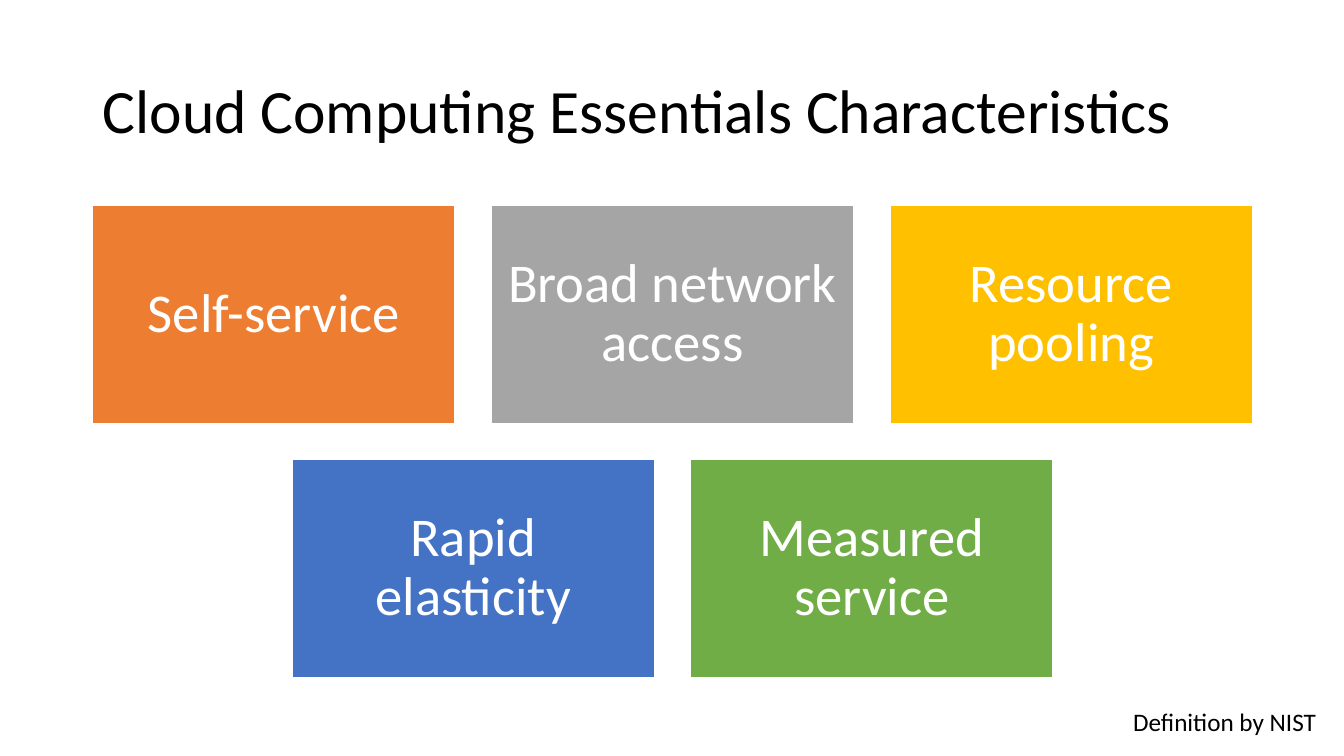
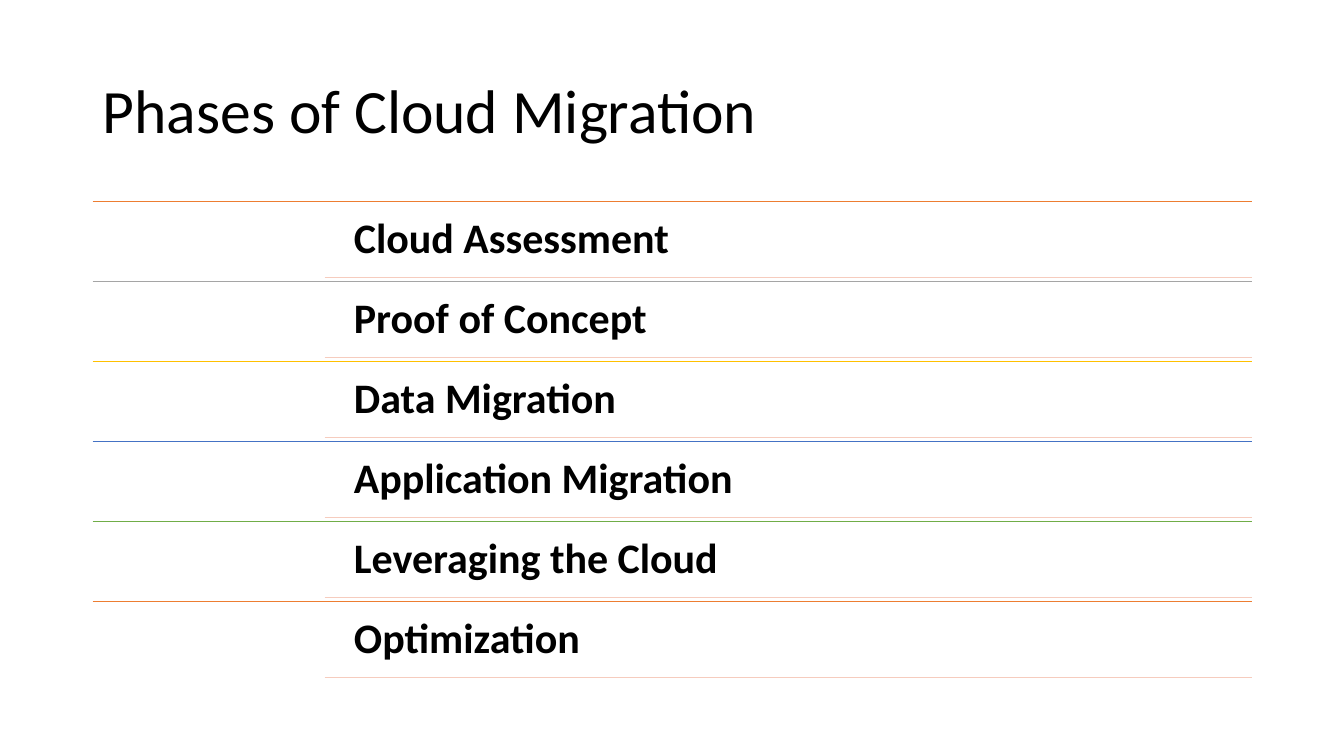
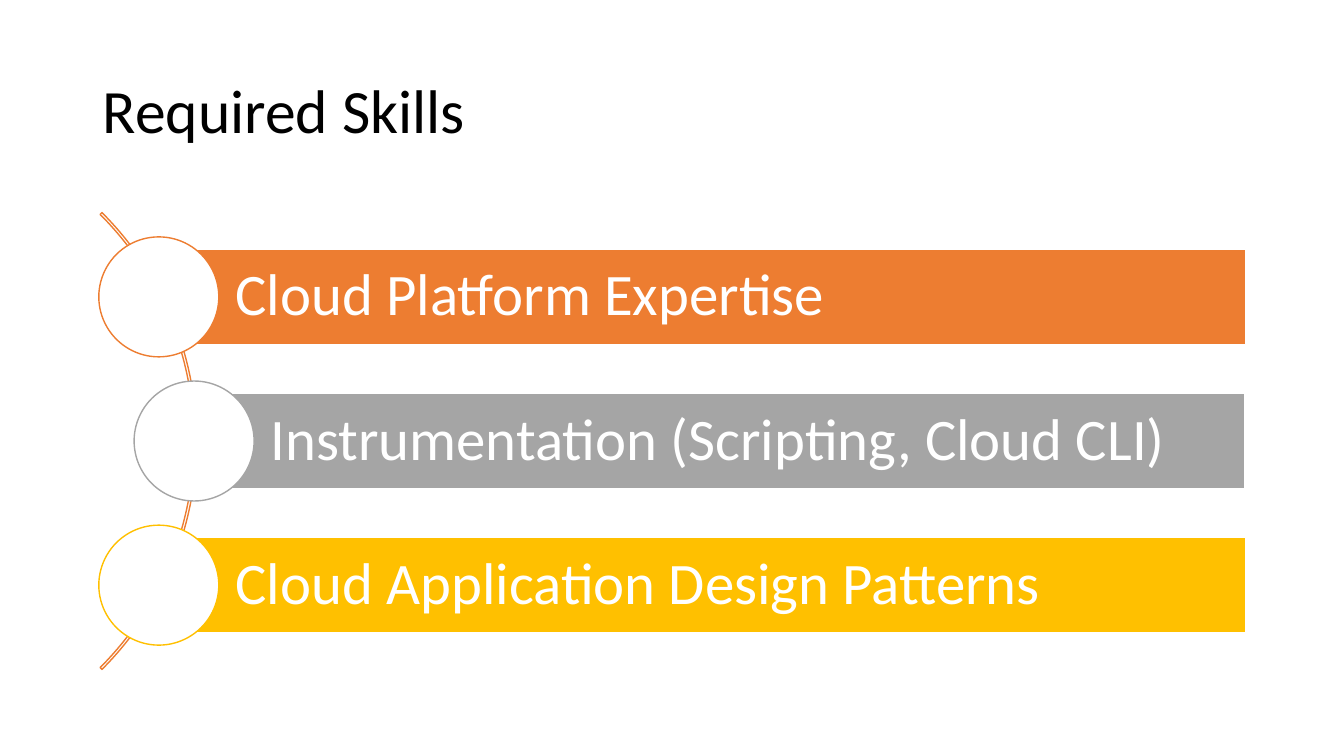
from lxml import etree
from pptx import Presentation
from pptx.dml.color import RGBColor
from pptx.enum.shapes import MSO_CONNECTOR, MSO_SHAPE
from pptx.enum.text import MSO_ANCHOR, PP_ALIGN
from pptx.oxml import parse_xml
from pptx.oxml.ns import nsdecls, qn
from pptx.util import Inches, Pt

FONT = "Calibri"
BLACK, WHITE = "000000", "FFFFFF"
ORANGE, GREY, GOLD = "ED7D31", "A5A5A5", "FFC000"
BLUE, GREEN, PEACH = "4472C4", "70AD47", "F6CCBE"
LEFT, WIDTH = 0.92, 11.5

LINE_SHADOW = (
    f'<a:effectLst {nsdecls("a")}>'
    '<a:outerShdw blurRad="57150" dist="19050" dir="5400000" algn="ctr" rotWithShape="0">'
    '<a:srgbClr val="000000"><a:alpha val="63000"/></a:srgbClr>'
    '</a:outerShdw></a:effectLst>'
)


def rgb(color):
    return RGBColor.from_string(color)


def write(sp, text, size, color, insets=(0.1, 0.05, 0.1, 0.05), align=PP_ALIGN.LEFT,
          anchor=MSO_ANCHOR.MIDDLE, bold=False, spacing=0.9, wrap=True):
    tf = sp.text_frame
    tf.text = text
    tf.word_wrap = wrap
    tf.vertical_anchor = anchor
    tf.margin_left, tf.margin_top, tf.margin_right, tf.margin_bottom = map(Inches, insets)
    p = tf.paragraphs[0]
    p.alignment = align
    p.line_spacing = spacing
    font = p.runs[0].font
    font.name, font.size, font.bold = FONT, Pt(size), bold
    font.color.rgb = rgb(color)


def add_text(slide, box, text, size, color, **style):
    sp = slide.shapes.add_textbox(*map(Inches, box))
    write(sp, text, size, color, **style)


def add_preset(slide, kind, box, fill, line):
    sp = slide.shapes.add_shape(kind, *map(Inches, box))
    sp.shadow.inherit = False
    if fill:
        sp.fill.solid()
        sp.fill.fore_color.rgb = rgb(fill)
    else:
        sp.fill.background()
    sp.line.color.rgb = rgb(line)
    sp.line.width = Pt(1)
    return sp


def add_rule(slide, left, right, y, color, shadow=False):
    rule = slide.shapes.add_connector(
        MSO_CONNECTOR.STRAIGHT, Inches(left), Inches(y), Inches(right), Inches(y))
    rule.line.color.rgb = rgb(color)
    rule.line.width = Pt(0.5)
    sp_pr = rule._element.spPr
    if shadow:
        sp_pr.append(parse_xml(LINE_SHADOW))
    else:
        etree.SubElement(sp_pr, qn("a:effectLst"))


def add_titled_slide(prs, title):
    slide = prs.slides.add_slide(prs.slide_layouts[6])
    add_text(slide, (LEFT, 0.4, WIDTH, 1.45), title, 44, BLACK)
    return slide


def add_tiles(slide, box, rows, gap=0.36):
    left, top, width, height = box
    columns = max(len(row) for row in rows)
    tile_w = (width - gap * (columns - 1)) / columns
    tile_h = (height - gap * (len(rows) - 1)) / len(rows)
    for i, row in enumerate(rows):
        indent = (columns - len(row)) * (tile_w + gap) / 2
        for j, (label, color) in enumerate(row):
            x = left + indent + j * (tile_w + gap)
            y = top + i * (tile_h + gap)
            tile = add_preset(slide, MSO_SHAPE.RECTANGLE, (x, y, tile_w, tile_h), color, WHITE)
            write(tile, label, 39, WHITE, insets=(0.16,) * 4, align=PP_ALIGN.CENTER)


def add_phases(slide, box, phases):
    left, top, width, height = box
    right = left + width
    pitch = height / len(phases)
    gap = 0.04
    for i, (label, color) in enumerate(phases):
        y = top + i * pitch
        add_rule(slide, left, right, y, color, shadow=True)
        add_text(slide, (left + 2.47, y + gap, width - 2.47, pitch - 2 * gap), label, 30, BLACK,
                 insets=(0.12,) * 4, anchor=MSO_ANCHOR.TOP, bold=True)
        add_rule(slide, left + 2.3, right, y + pitch - gap, PEACH)


def add_skills(slide, box, skills):
    left, top, width, height = box
    pitch = height / len(skills)
    bar_h, circle, arc = 0.95, 1.19, 6.41
    curve = add_preset(slide, MSO_SHAPE.BLOCK_ARC,
                       (left - 5.44, top + (height - arc) / 2, arc, arc), None, ORANGE)
    for i, value in enumerate((189, 27, 0.004)):
        curve.adjustments[i] = value
    for i, (label, color, indent) in enumerate(skills):
        x = left + indent
        middle = top + (i + 0.5) * pitch
        bar_x = x + circle / 2
        bar = add_preset(slide, MSO_SHAPE.RECTANGLE,
                         (bar_x, middle - bar_h / 2, left + width - bar_x, bar_h), color, WHITE)
        write(bar, label, 42, WHITE, insets=(0.76, 0.12, 0.12, 0.12))
        add_preset(slide, MSO_SHAPE.OVAL, (x, middle - circle / 2, circle, circle), WHITE, color)


prs = Presentation()
prs.slide_width, prs.slide_height = Inches(13.33), Inches(7.5)

characteristics = add_titled_slide(prs, "Cloud Computing Essentials Characteristics")
add_tiles(characteristics, (LEFT, 2.04, WIDTH, 4.68), [
    [("Self-service", ORANGE), ("Broad network access", GREY), ("Resource pooling", GOLD)],
    [("Rapid elasticity", BLUE), ("Measured service", GREEN)],
])
add_text(characteristics, (11.14, 6.96, 2.04, 0.4), "Definition by NIST", 18, BLACK,
         anchor=MSO_ANCHOR.TOP, spacing=1, wrap=False)

migration = add_titled_slide(prs, "Phases of Cloud Migration")
add_phases(migration, (LEFT, 2, WIDTH, 4.76), [
    ("Cloud Assessment", ORANGE),
    ("Proof of Concept", GREY),
    ("Data Migration", GOLD),
    ("Application Migration", BLUE),
    ("Leveraging the Cloud", GREEN),
    ("Optimization", ORANGE),
])

required = add_titled_slide(prs, "Required Skills")
add_skills(required, (0.98, 2.23, 11.37, 4.29), [
    ("Cloud Platform Expertise", ORANGE, 0),
    ("Instrumentation (Scripting, Cloud CLI)", GREY, 0.35),
    ("Cloud Application Design Patterns", GOLD, 0),
])

prs.save("out.pptx")
